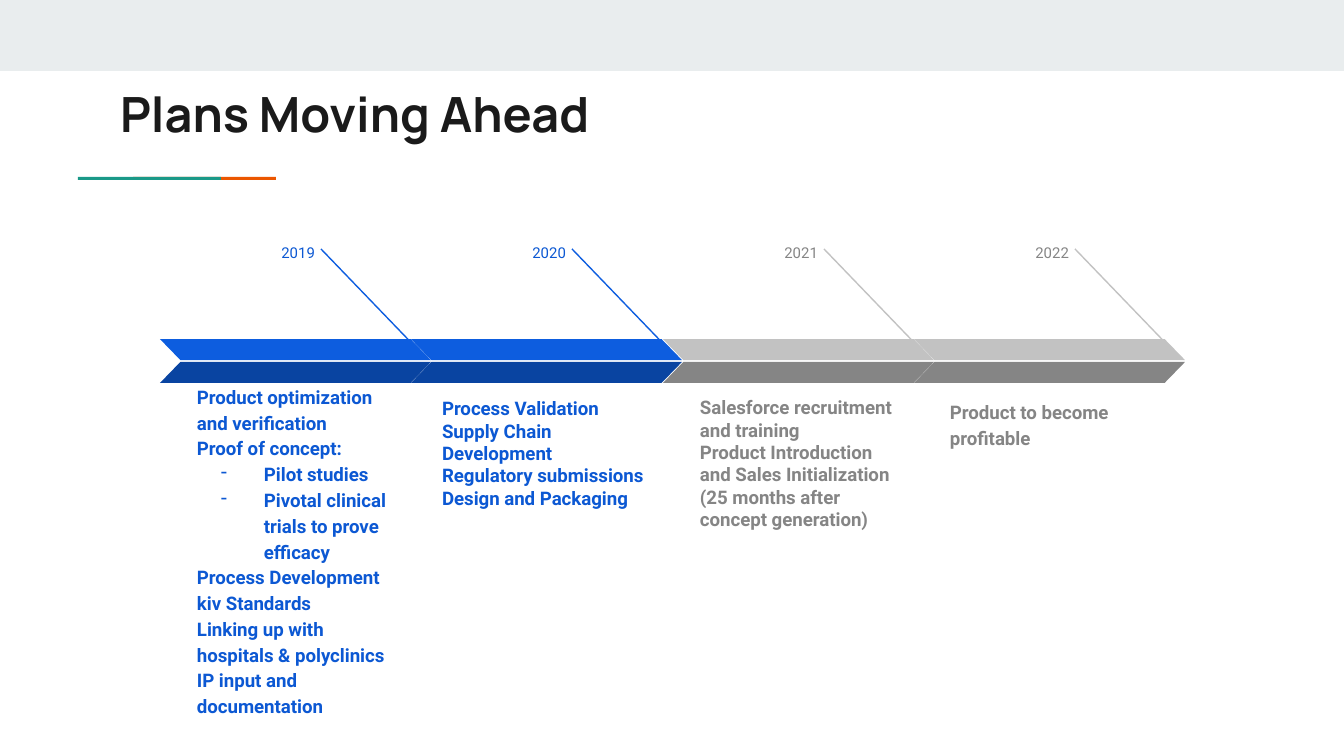
from dataclasses import dataclass

from lxml import etree
from pptx import Presentation
from pptx.dml.color import RGBColor
from pptx.enum.shapes import MSO_CONNECTOR, MSO_SHAPE
from pptx.enum.text import MSO_ANCHOR, PP_ALIGN
from pptx.oxml.ns import qn
from pptx.util import Pt

RECTANGLE, PARALLELOGRAM = MSO_SHAPE.RECTANGLE, MSO_SHAPE.PARALLELOGRAM
STRAIGHT = MSO_CONNECTOR.STRAIGHT
TOP, MIDDLE, BOTTOM = MSO_ANCHOR.TOP, MSO_ANCHOR.MIDDLE, MSO_ANCHOR.BOTTOM
LEFT, RIGHT = PP_ALIGN.LEFT, PP_ALIGN.RIGHT
SCALE = 914400 / 134.4
WIDTH, HEIGHT = 1344, 756
INSET = 13


@dataclass(frozen=True)
class Tone:
    text: str
    upper: str
    lower: str


@dataclass(frozen=True)
class Theme:
    header: str = "E9EDEE"
    teal: str = "1A9988"
    orange: str = "EB5600"
    ink: str = "1A1A1A"
    heading_font: str = "Manrope"
    body_font: str = "Roboto"
    title_size: int = 26
    body_size: int = 10
    year_size: int = 8
    active: Tone = Tone("0C58D3", "0D5DDF", "0944A1")
    planned: Tone = Tone("858585", "C2C2C2", "858585")


THEME = Theme()

PHASES = [
    dict(year="2019", tone=THEME.active, box=(24, 383, 222, 360),
         anchor=MIDDLE, spacing=1.15, bottom=39,
         lines=["Product optimization and verification", "Proof of concept:",
                ("-", "Pilot studies"),
                ("-", "Pivotal clinical trials to prove efficacy"),
                "Process Development kiv Standards",
                "Linking up with hospitals & polyclinics",
                "IP input and documentation"]),
    dict(year="2020", tone=THEME.active, box=(18, 384, 233, 230),
         lines=["Process Validation", "Supply Chain Development",
                "Regulatory submissions", "Design and Packaging"]),
    dict(year="2021", tone=THEME.planned, box=(24, 383, 222, 66),
         lines=["Salesforce recruitment and training",
                "Product Introduction and Sales Initialization "
                "(25 months after concept generation)"]),
    dict(year="2022", tone=THEME.planned, box=(23, 396, 222, 66),
         anchor=BOTTOM, spacing=1.15,
         lines=["Product to become profitable"]),
]


def px(value):
    return round(value * SCALE)


def apply(target, **values):
    for name, value in values.items():
        setattr(target, name, value)


def add_bullet(paragraph, mark, color):
    properties = paragraph._p.get_or_add_pPr()
    properties.set("marL", str(px(67)))
    properties.set("indent", str(px(-43)))
    tint = etree.SubElement(properties, qn("a:buClr"))
    etree.SubElement(tint, qn("a:srgbClr")).set("val", color)
    etree.SubElement(properties, qn("a:buChar")).set("char", mark)


def add_text(slide, box, lines, color, size, font, bold=False, align=LEFT,
             anchor=TOP, spacing=1.0, after=0, bottom=INSET):
    frame = slide.shapes.add_textbox(*map(px, box)).text_frame
    apply(frame, word_wrap=True, vertical_anchor=anchor,
          margin_left=px(INSET), margin_right=px(INSET),
          margin_top=px(INSET), margin_bottom=px(bottom))
    for index, line in enumerate(lines):
        paragraph = frame.add_paragraph() if index else frame.paragraphs[0]
        mark, words = line if isinstance(line, tuple) else (None, line)
        if mark:
            add_bullet(paragraph, mark, color)
        apply(paragraph, alignment=align, line_spacing=spacing,
              space_after=Pt(after))
        run = paragraph.add_run()
        run.text = words
        apply(run.font, name=font, size=Pt(size), bold=bold)
        run.font.color.rgb = RGBColor.from_string(color)


def add_block(slide, kind, box, color):
    block = slide.shapes.add_shape(kind, *map(px, box))
    block.shadow.inherit = False
    block.fill.solid()
    block.fill.fore_color.rgb = RGBColor.from_string(color)
    block.line.fill.background()
    return block


def add_leader(slide, ends, color):
    leader = slide.shapes.add_connector(STRAIGHT, *map(px, ends))
    leader.line.color.rgb = RGBColor.from_string(color)
    leader.line.width = Pt(0.75)
    etree.SubElement(leader._element.spPr, qn("a:effectLst"))


def add_heading(slide, left, top, width, height):
    add_block(slide, RECTANGLE, (left, top, width, height), THEME.header)
    rule_top = top + height + 106
    for offset, color in ((133, THEME.orange), (78, THEME.teal)):
        add_block(slide, RECTANGLE, (left + offset, rule_top, 143, 3), color)
    add_text(slide, (left + 107, top + height, 673, 107),
             ["Plans Moving Ahead"], THEME.ink, THEME.title_size,
             THEME.heading_font, bold=True)


def add_phase(slide, left, top, width, phase):
    tone = phase["tone"]
    add_text(slide, (left + 76, top, 92, 35), [phase["year"]], tone.text,
             THEME.year_size, THEME.body_font, align=RIGHT, spacing=1.15,
             after=16)
    x, y, w, h = phase["box"]
    options = {key: phase[key] for key in ("anchor", "spacing", "bottom")
               if key in phase}
    add_text(slide, (left + x, y, w, h), phase["lines"], tone.text,
             THEME.body_size, THEME.body_font, bold=True, **options)
    add_leader(slide, (left + 161, top + 18, left + 266, top + 127), tone.upper)
    for offset, color, flipped in ((108, tone.upper, True),
                                   (131, tone.lower, False)):
        band = add_block(slide, PARALLELOGRAM,
                         (left, top + offset, width, 21), color)
        band.adjustments[0] = 0.97
        if flipped:
            band._element.spPr.xfrm.set("flipH", "1")


def add_timeline(slide, left, top, width):
    band_width = 271
    pitch = (width - band_width) / (len(PHASES) - 1)
    for index, phase in enumerate(PHASES):
        add_phase(slide, left + round(index * pitch), top, band_width, phase)


def main():
    deck = Presentation()
    apply(deck, slide_width=px(WIDTH), slide_height=px(HEIGHT))
    slide = deck.slides.add_slide(deck.slide_layouts[6])
    add_heading(slide, 0, 0, WIDTH, 71)
    add_timeline(slide, 160, 231, 1025)
    deck.save("out.pptx")


if __name__ == "__main__":
    main()
